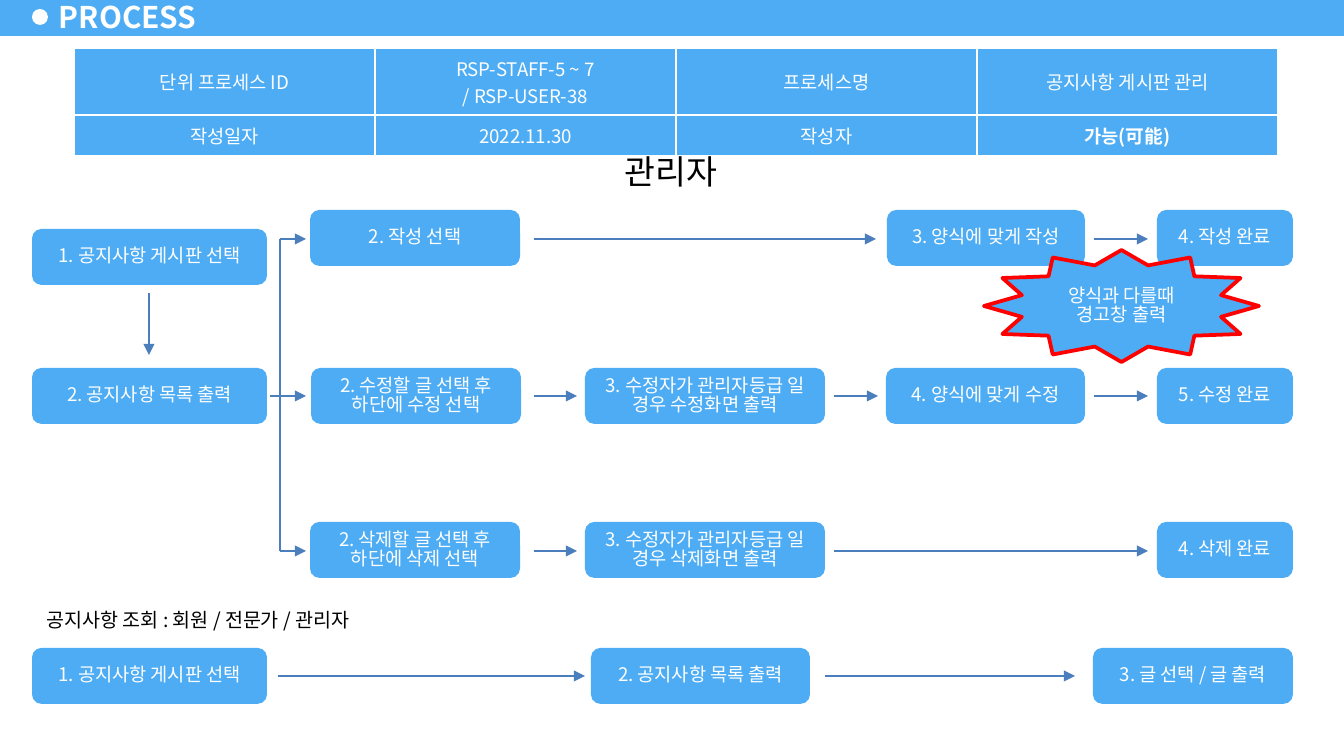
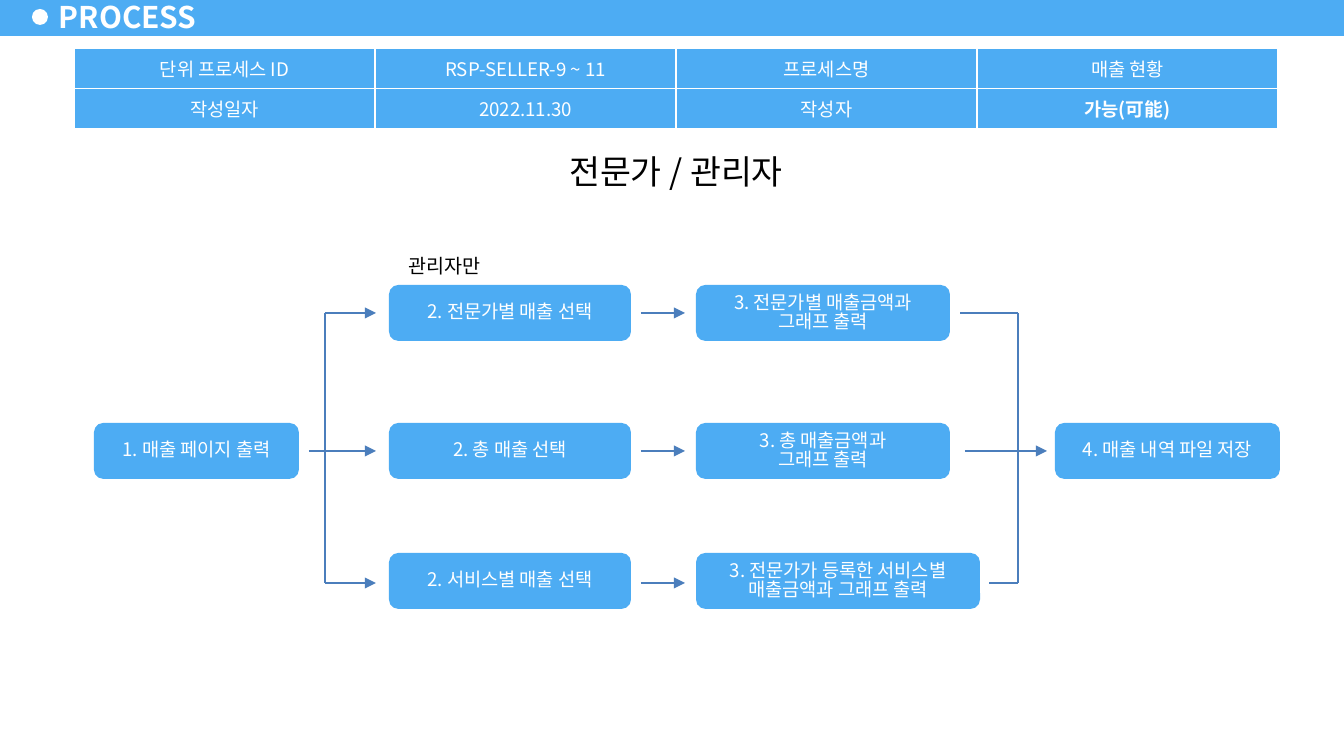
from lxml import etree
from pptx import Presentation
from pptx.dml.color import RGBColor
from pptx.enum.shapes import MSO_CONNECTOR, MSO_SHAPE
from pptx.enum.text import MSO_ANCHOR, MSO_AUTO_SIZE, PP_ALIGN
from pptx.oxml.ns import qn
from pptx.util import Emu, Pt

RECT, OVAL = MSO_SHAPE.RECTANGLE, MSO_SHAPE.OVAL
ROUND, STAR = MSO_SHAPE.ROUNDED_RECTANGLE, MSO_SHAPE.STAR_12_POINT
STRAIGHT = MSO_CONNECTOR.STRAIGHT
TOP, MIDDLE = MSO_ANCHOR.TOP, MSO_ANCHOR.MIDDLE
LEFT, CENTER = PP_ALIGN.LEFT, PP_ALIGN.CENTER

BLUE = RGBColor(0x4D, 0xAC, 0xF3)
STEEL = RGBColor(0x4B, 0x7E, 0xBC)
RED = RGBColor(0xFF, 0, 0)
WHITE = RGBColor(0xFF, 0xFF, 0xFF)
BLACK = RGBColor(0, 0, 0)
FONT = "Noto Sans CJK KR"

WIDE, HIGH = 1344, 756
BOX_H = 56
COL_W = 301
LINE_H, TWO_H = 37, 59

# captions: left, top, width, height, points, text
# boxes: top of the row, then (left, width, lines)
# lanes: height of the row, then (start, end) of each arrow
# lines: x1, y1, x2, y2 without a head
NOTICE = {
    "id": ["RSP-STAFF-5 ~ 7", "/ RSP-USER-38"],
    "name": "공지사항 게시판 관리",
    "captions": [
        (431, 144, 480, 54, 18, "관리자"),
        (9, 601, 378, 38, 10.5, "공지사항 조회 : 회원 / 전문가 / 관리자"),
    ],
    "boxes": [
        (229, [(32, 235, ["1. 공지사항 게시판 선택"])]),
        (210, [(310, 210, ["2. 작성 선택"]),
               (887, 198, ["3. 양식에 맞게 작성"]),
               (1157, 136, ["4. 작성 완료"])]),
        (368, [(32, 235, ["2. 공지사항 목록 출력"]),
               (311, 210, ["2. 수정할 글 선택 후", "하단에 수정 선택"]),
               (585, 240, ["3. 수정자가 관리자등급 일 경우 수정화면 출력"]),
               (886, 199, ["4. 양식에 맞게 수정"]),
               (1157, 136, ["5. 수정 완료"])]),
        (522, [(310, 210, ["2. 삭제할 글 선택 후", "하단에 삭제 선택"]),
               (585, 240, ["3. 수정자가 관리자등급 일 경우 삭제화면 출력"]),
               (1157, 136, ["4. 삭제 완료"])]),
        (648, [(32, 235, ["1. 공지사항 게시판 선택"]),
               (591, 219, ["2. 공지사항 목록 출력"]),
               (1093, 200, ["3. 글 선택 / 글 출력"])]),
    ],
    "lanes": [
        (239, [(280, 306), (534, 876), (1094, 1148)]),
        (396, [(270, 306), (534, 577), (834, 878), (1094, 1148)]),
        (551, [(280, 306), (534, 577), (834, 1148)]),
        (676, [(278, 585), (825, 1075)]),
    ],
    "drops": [(149, 293, 149, 355)],
    "lines": [(280, 239, 280, 551)],
    "alerts": [(984, 250, 275, 112, "양식과 다를때\v경고창 출력")],
}
SALES = {
    "id": ["RSP-SELLER-9 ~ 11"],
    "name": "매출 현황",
    "captions": [
        (436, 144, 480, 54, 18, "전문가 / 관리자"),
        (390, 247, 109, 38, 10.5, "관리자만"),
    ],
    "boxes": [
        (285, [(389, 242, ["2. 전문가별 매출 선택"]),
               (696, 254, ["3. 전문가별 매출금액과", "그래프 출력"])]),
        (423, [(94, 205, ["1. 매출 페이지 출력"]),
               (389, 242, ["2. 총 매출 선택"]),
               (696, 254, ["3. 총 매출금액과", "그래프 출력"]),
               (1055, 225, ["4. 매출 내역 파일 저장"])]),
        (553, [(389, 242, ["2. 서비스별 매출 선택"]),
               (696, 284, ["3. 전문가가 등록한 서비스별 매출금액과 그래프 출력"])]),
    ],
    "lanes": [
        (313, [(325, 376), (641, 685)]),
        (451, [(309, 376), (641, 685), (965, 1047)]),
        (583, [(325, 376), (641, 685)]),
    ],
    "drops": [],
    "lines": [(325, 313, 325, 583), (1018, 313, 1018, 583),
              (1018, 313, 960, 313), (1018, 583, 989, 583)],
    "alerts": [],
}


def px(n):
    return Emu(round(n * 914400 / 134.4))


def write(frame, lines, size, color, bold=False, align=CENTER, space=None):
    for i, line in enumerate(lines):
        para = frame.add_paragraph() if i else frame.paragraphs[0]
        para.alignment = align
        if space:
            para.line_spacing = space
        for j, part in enumerate(line.split("\v")):
            if j:
                para.add_line_break()
            run = para.add_run()
            run.text = part
            font = run.font
            font.name, font.size, font.bold = FONT, Pt(size), bold
            font.color.rgb = color
            # East Asian text needs its own typeface entry after a:latin
            latin = run._r.rPr.find(qn("a:latin"))
            east = etree.Element(qn("a:ea"), typeface=FONT)
            latin.addnext(east)


def shape(slide, kind, left, top, width, height, fill):
    item = slide.shapes.add_shape(kind, px(left), px(top), px(width), px(height))
    item.shadow.inherit = False
    item.fill.solid()
    item.fill.fore_color.rgb = fill
    item.line.fill.background()
    item.text_frame.word_wrap = True
    item.text_frame.vertical_anchor = MIDDLE
    return item


def link(slide, x1, y1, x2, y2, head=True):
    wire = slide.shapes.add_connector(STRAIGHT, px(x1), px(y1), px(x2), px(y2))
    wire.line.color.rgb = STEEL
    wire.line.width = Pt(0.75)
    if head:
        etree.SubElement(wire.line._get_or_add_ln(), qn("a:tailEnd"), type="triangle")
    etree.SubElement(wire._element.spPr, qn("a:effectLst"))


def edge(cell):
    """Draw a white one-point border on all four sides."""
    props = cell._tc.get_or_add_tcPr()
    for side in "LRTB":
        line = etree.SubElement(props, qn("a:ln" + side), w=str(Pt(1)))
        fill = etree.SubElement(line, qn("a:solidFill"))
        etree.SubElement(fill, qn("a:srgbClr"), val=str(WHITE))


def add_info(slide, data):
    rows = [
        [["단위 프로세스 ID"], data["id"], ["프로세스명"], [data["name"]]],
        [["작성일자"], ["2022.11.30"], ["작성자"], ["가능(可能)"]],
    ]
    highs = [TWO_H if len(data["id"]) > 1 else LINE_H, LINE_H]
    table = slide.shapes.add_table(
        2, 4, px(74), px(48), px(4 * COL_W), px(sum(highs))).table
    table.first_row = table.horz_banding = False
    for col in table.columns:
        col.width = px(COL_W)
    for r, row in enumerate(rows):
        table.rows[r].height = px(highs[r])
        for c, lines in enumerate(row):
            cell = table.cell(r, c)
            edge(cell)
            cell.fill.solid()
            cell.fill.fore_color.rgb = BLUE
            cell.vertical_anchor = MIDDLE
            write(cell.text_frame, lines, 10, WHITE, bold=(r, c) == (1, 3))


def add_title(slide):
    title = slide.shapes.title
    title.left, title.top, title.width, title.height = map(px, (47, -5, 164, 43))
    frame = title.text_frame
    frame.auto_size = MSO_AUTO_SIZE.NONE
    frame.vertical_anchor = MIDDLE
    frame.margin_left = frame.margin_right = px(12)
    frame.margin_top = frame.margin_bottom = px(6)
    write(frame, ["PROCESS"], 16, WHITE, bold=True, align=LEFT)


def add_band(slide):
    """Draw the header band and hand it to the layout that slides share."""
    parts = [shape(slide, RECT, 0, -2, WIDE, 38, BLUE),
             shape(slide, OVAL, 32, 9, 16, 16, WHITE)]
    tree = slide.slide_layout.shapes.element
    for i, part in enumerate(parts):
        tree.insert(2 + i, part.element)


def build(slide, data):
    add_title(slide)
    for left, top, width, height, size, text in data["captions"]:
        note = shape(slide, RECT, left, top, width, height, WHITE)
        note.text_frame.vertical_anchor = TOP
        write(note.text_frame, [text], size, BLACK)
    add_info(slide, data)
    for top, row in data["boxes"]:
        for left, width, lines in row:
            box = shape(slide, ROUND, left, top, width, BOX_H, BLUE)
            write(box.text_frame, lines, 10, WHITE, space=0.85)
    for y, spans in data["lanes"]:
        for start, end in spans:
            link(slide, start, y, end, y)
    for ends in data["drops"]:
        link(slide, *ends)
    for ends in data["lines"]:
        link(slide, *ends, head=False)
    for left, top, width, height, text in data["alerts"]:
        star = shape(slide, STAR, left, top, width, height, BLUE)
        star.line.color.rgb = RED
        star.line.width = Pt(2)
        frame = star.text_frame
        frame.word_wrap = False
        frame.margin_left = frame.margin_right = 0
        frame.margin_top = frame.margin_bottom = 0
        write(frame, [text], 10, WHITE, space=0.85)


def main():
    deck = Presentation()
    deck.slide_width, deck.slide_height = px(WIDE), px(HIGH)
    layout = deck.slide_layouts[5]
    for i, data in enumerate([NOTICE, SALES]):
        slide = deck.slides.add_slide(layout)
        if i == 0:
            add_band(slide)
        build(slide, data)
    deck.save("out.pptx")


if __name__ == "__main__":
    main()
